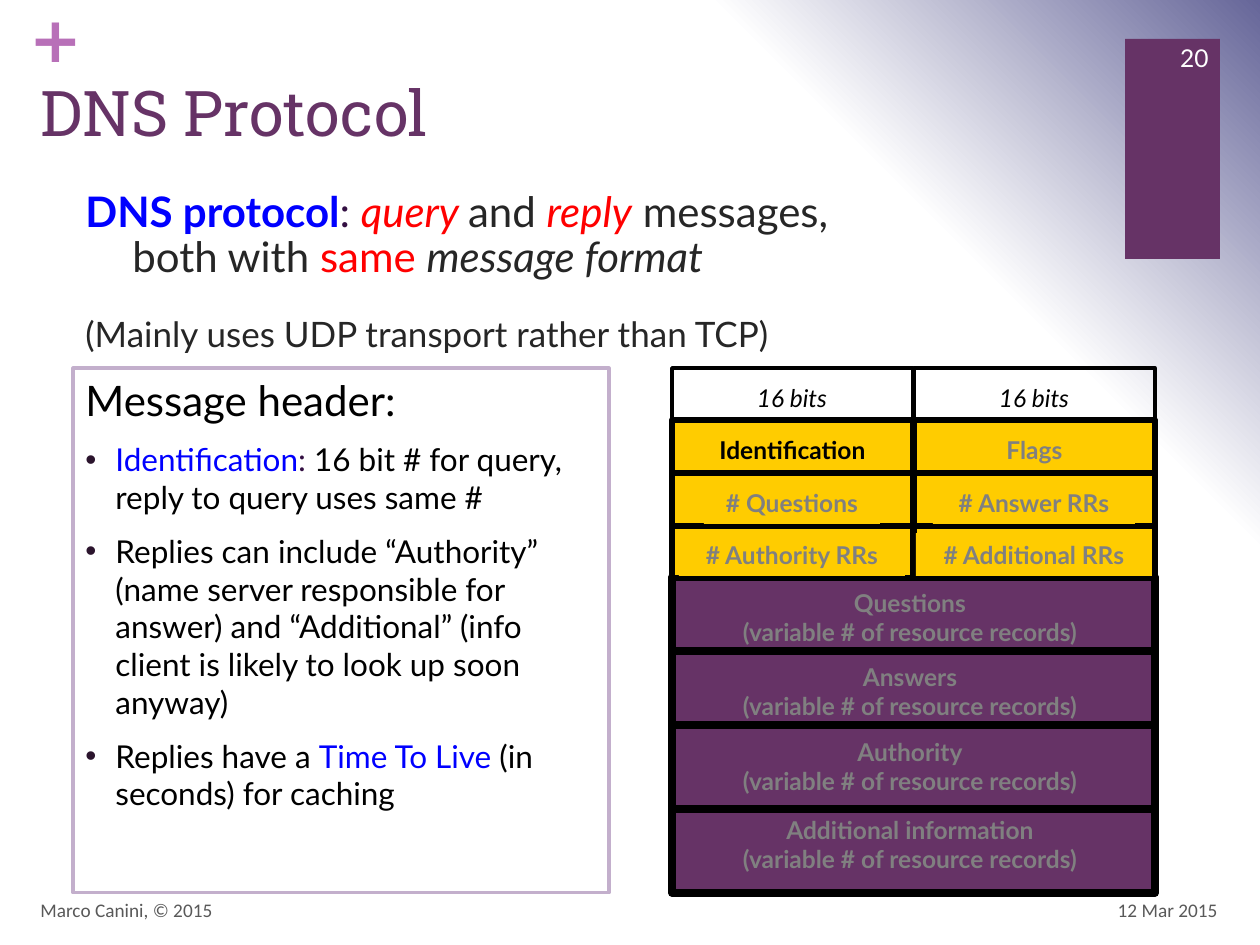
from pptx import Presentation
from pptx.dml.color import RGBColor
from pptx.enum.shapes import MSO_SHAPE
from pptx.enum.text import MSO_ANCHOR, PP_ALIGN
from pptx.oxml import parse_xml
from pptx.oxml.ns import nsdecls
from pptx.util import Emu, Pt

EMU_PER_PX = 914400 / 126

PURPLE = RGBColor(0x66, 0x33, 0x66)
LILAC = RGBColor(0xC3, 0xAF, 0xCC)
PINK = RGBColor(0xB8, 0x70, 0xB8)
PLUM = RGBColor(0x33, 0x0F, 0x42)
YELLOW = RGBColor(0xFF, 0xCC, 0x00)
BLUE = RGBColor(0x00, 0x00, 0xFF)
RED = RGBColor(0xFF, 0x00, 0x00)
BLACK = RGBColor(0x00, 0x00, 0x00)
WHITE = RGBColor(0xFF, 0xFF, 0xFF)
DARK = RGBColor(0x26, 0x26, 0x26)
GREY = RGBColor(0x80, 0x80, 0x80)
FOOTER_GREY = RGBColor(0x59, 0x59, 0x59)

TABLE_LEFT, TABLE_WIDTH = 672, 483
COLUMN_LEFTS, COLUMN_WIDTH = (672, 914), 241
ROW_HEIGHT = 53
RECORDS = "(variable # of resource records)"


def px(length):
    return Emu(round(length * EMU_PER_PX))


def add_background(slide):
    """White at the bottom left, fading to blue at the top right."""
    slide.element.cSld.insert(0, parse_xml(
        f'<p:bg {nsdecls("p", "a")}><p:bgPr><a:gradFill rotWithShape="1"><a:gsLst>'
        '<a:gs pos="0"><a:srgbClr val="FFFFFF"/></a:gs>'
        '<a:gs pos="75000"><a:srgbClr val="FFFFFF"/></a:gs>'
        '<a:gs pos="100000"><a:srgbClr val="666699"/></a:gs></a:gsLst>'
        '<a:path path="circle"><a:fillToRect t="100000" r="100000"/></a:path>'
        '</a:gradFill><a:effectLst/></p:bgPr></p:bg>'))


def add_box(shapes, box, fill=None, line=None, line_width=1):
    shape = shapes.add_shape(MSO_SHAPE.RECTANGLE, *map(px, box))
    shape.shadow.inherit = False
    if fill is None:
        shape.fill.background()
    else:
        shape.fill.solid()
        shape.fill.fore_color.rgb = fill
    if line is None:
        shape.line.fill.background()
    else:
        shape.line.color.rgb = line
        shape.line.width = Pt(line_width)
    return shape


def add_runs(paragraph, runs, size, font="Lato"):
    """Each run is text, colour and a style made of the letters b and i."""
    for text, color, style in runs:
        if text == "\n":
            paragraph.add_line_break()
            continue
        run = paragraph.add_run()
        run.text = text
        run.font.name = font
        run.font.size = Pt(size)
        run.font.color.rgb = color
        run.font.bold = "b" in style
        run.font.italic = "i" in style


def write(shape, paragraphs, align=PP_ALIGN.LEFT, anchor=MSO_ANCHOR.TOP, wrap=True,
          font="Lato", indent=0, bullets=False, space=0, line_spacing=None):
    """Each paragraph is its size and its runs; bullets start at the second one."""
    frame = shape.text_frame
    frame.word_wrap = wrap
    frame.vertical_anchor = anchor
    for index, (size, runs) in enumerate(paragraphs):
        paragraph = frame.add_paragraph() if index else frame.paragraphs[0]
        paragraph.alignment = align
        if index:
            paragraph.space_before = Pt(space)
        if line_spacing:
            paragraph.line_spacing = line_spacing
        if indent:
            properties = paragraph._p.get_or_add_pPr()
            properties.set("marL", str(px(indent)))
            properties.set("indent", str(-px(indent)))
            if bullets and index:
                for bullet in ('<a:buClr {}><a:srgbClr val="2B142D"/></a:buClr>',
                               '<a:buFont {} typeface="Arial"/>',
                               '<a:buChar {} char="•"/>'):
                    properties.append(parse_xml(bullet.format(nsdecls("a"))))
        add_runs(paragraph, runs, size, font)


def add_text(shapes, box, paragraphs, **layout):
    shape = shapes.add_textbox(*map(px, box))
    write(shape, paragraphs, **layout)
    return shape


def add_section(shapes, top, height, label_top, title):
    """A full-width variable-length section with a two-line label."""
    add_box(shapes, (TABLE_LEFT, top, TABLE_WIDTH, height), PURPLE, BLACK, 4.25)
    label = add_box(shapes, (699, label_top, 422, 72), PURPLE)
    write(label, [(14, [(text, GREY, "b")]) for text in (title, RECORDS)],
          align=PP_ALIGN.CENTER, anchor=MSO_ANCHOR.MIDDLE, wrap=False)


def add_field_row(slide, top, fields, fill=YELLOW, line_width=3.25, style="b"):
    """Two 16-bit fields side by side; a field is text, label width and colour."""
    shapes = slide.shapes.add_group_shape().shapes
    for left, (text, width, color) in zip(COLUMN_LEFTS, fields):
        add_box(shapes, (left, top, COLUMN_WIDTH, ROW_HEIGHT), fill, BLACK, line_width)
        label_left = left + (COLUMN_WIDTH - width) // 2
        label = add_box(shapes, (label_left, top + 8, width, 43), fill)
        write(label, [(14, [(text, color, style)])], align=PP_ALIGN.CENTER,
              anchor=MSO_ANCHOR.MIDDLE, wrap=False)


def add_message_format(slide):
    add_box(slide.shapes, (TABLE_LEFT, 368, TABLE_WIDTH, 504), None, BLACK, 0.75)
    for section in ((798, 95, 808, "Additional information"),
                    (577, 74, 581, "Questions"),
                    (651, 74, 655, "Answers"),
                    (725, 84, 730, "Authority")):
        add_section(slide.shapes, *section)
    add_field_row(slide, 525, [("# Authority RRs", 226, GREY), ("# Additional RRs", 236, GREY)])
    add_field_row(slide, 420, [("Identification", 195, BLACK), ("Flags", 91, GREY)])
    add_field_row(slide, 473, [("# Questions", 176, GREY), ("# Answer RRs", 202, GREY)])
    add_field_row(slide, 368, [("16 bits", 106, BLACK)] * 2, None, 2, "i")


def main():
    presentation = Presentation()
    presentation.slide_width, presentation.slide_height = px(1260), px(945)
    slide = presentation.slides.add_slide(presentation.slide_layouts[6])
    shapes = slide.shapes

    # Page decoration, title and number
    add_background(slide)
    add_box(shapes, (1125, 39, 95, 220), PURPLE)
    plus = add_text(shapes, (30, 0, 37, 77), [(36, [("+", PINK, "b")])],
                    font="DejaVu Sans", wrap=False)
    frame = plus.text_frame
    frame.margin_left = frame.margin_top = frame.margin_right = frame.margin_bottom = 0
    add_text(shapes, (28, 67, 1082, 154), [(36, [("DNS Protocol", PURPLE, "")])],
             font="Roboto Slab")
    add_text(shapes, (1144, 33, 77, 50), [(14, [("20", WHITE, "")])],
             align=PP_ALIGN.RIGHT, anchor=MSO_ANCHOR.MIDDLE)

    # Introduction
    add_text(shapes, (73, 185, 1004, 171), [
        (24, [("DNS protocol", BLUE, "b"), (": ", PLUM, ""), ("query ", RED, "i"),
              ("and ", DARK, ""), ("reply", RED, "i"), (" messages,", DARK, ""),
              ("\n", DARK, ""), ("both with ", DARK, ""), ("same ", RED, ""),
              ("message format", DARK, "i")]),
        (20, [("(Mainly uses UDP transport rather than TCP)", DARK, "")]),
    ], indent=47, space=20, line_spacing=0.9)

    # Header notes
    notes = add_box(shapes, (73, 368, 536, 525), None, LILAC, 1.75)
    write(notes, [
        (24, [("Message header:", BLACK, "")]),
        (18, [("Identification", BLUE, ""), (":", PLUM, ""),
              (" 16 bit # for query, reply to query uses same #", BLACK, "")]),
        (18, [("Replies can include “Authority” (name server responsible for answer) "
               "and “Additional” (info client is likely to look up soon anyway)", BLACK, "")]),
        (18, [("Replies have a ", BLACK, ""), ("Time To Live", BLUE, ""),
              (" (in seconds) for caching", BLACK, "")]),
    ], indent=30, bullets=True, space=9)

    # Message layout
    add_message_format(slide)

    # Footer
    for box, text, align in (((936, 885, 294, 50), "12 Mar 2015", PP_ALIGN.RIGHT),
                             ((28, 885, 844, 50), "Marco Canini, © 2015", PP_ALIGN.LEFT)):
        add_text(shapes, box, [(11, [(text, FOOTER_GREY, "")])], font="Calibri",
                 align=align, anchor=MSO_ANCHOR.MIDDLE)

    presentation.save("out.pptx")


if __name__ == "__main__":
    main()
